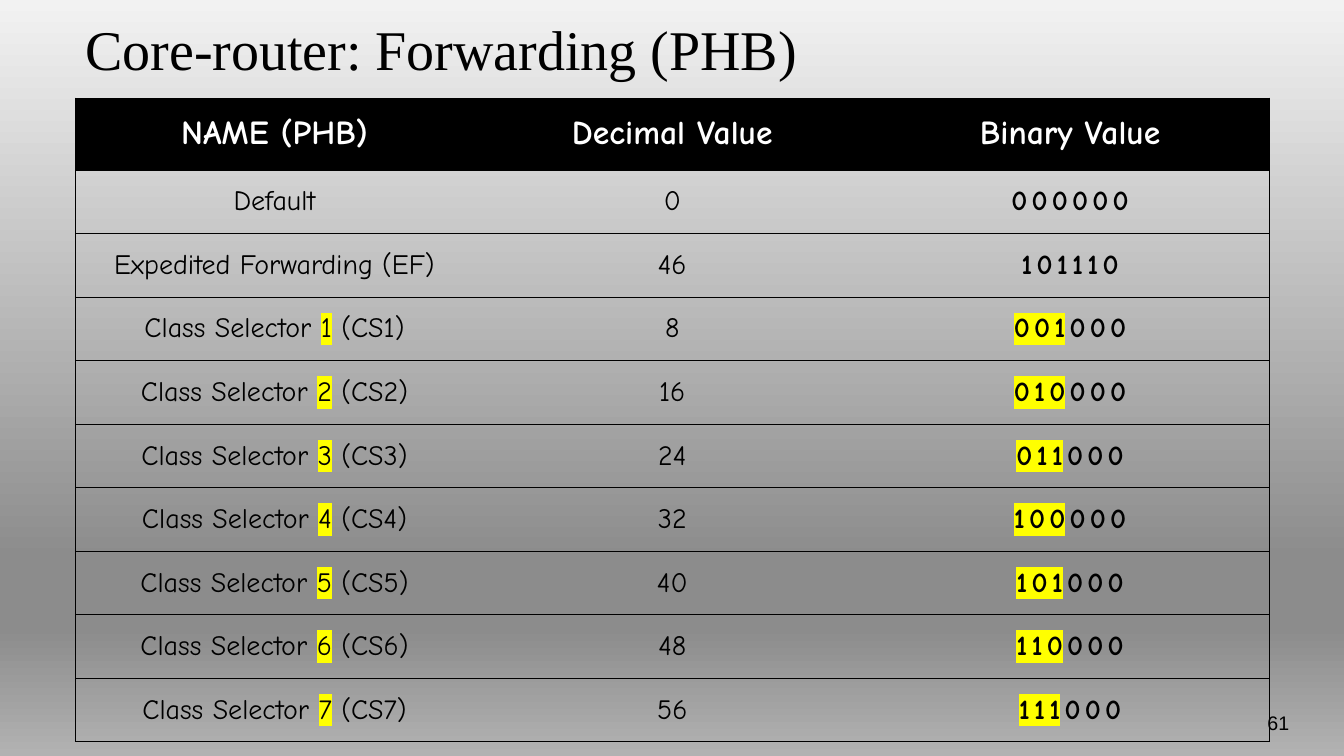
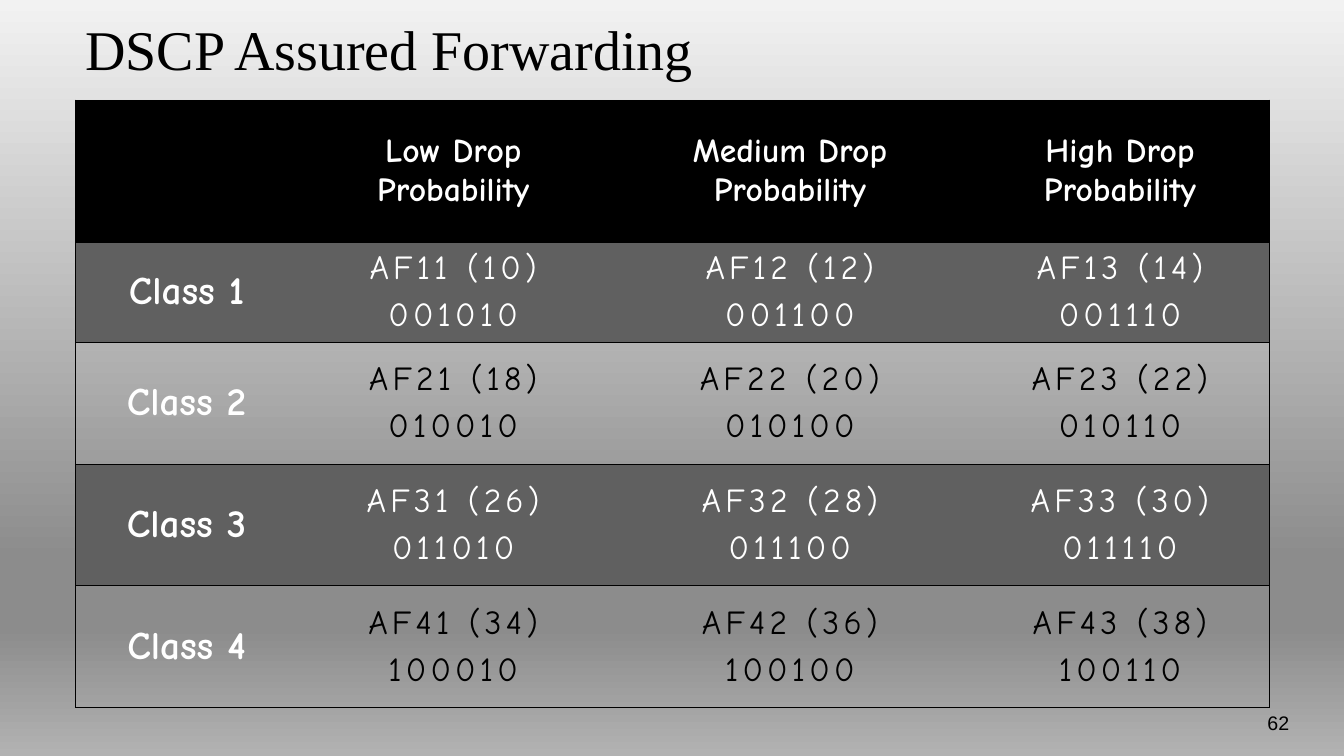
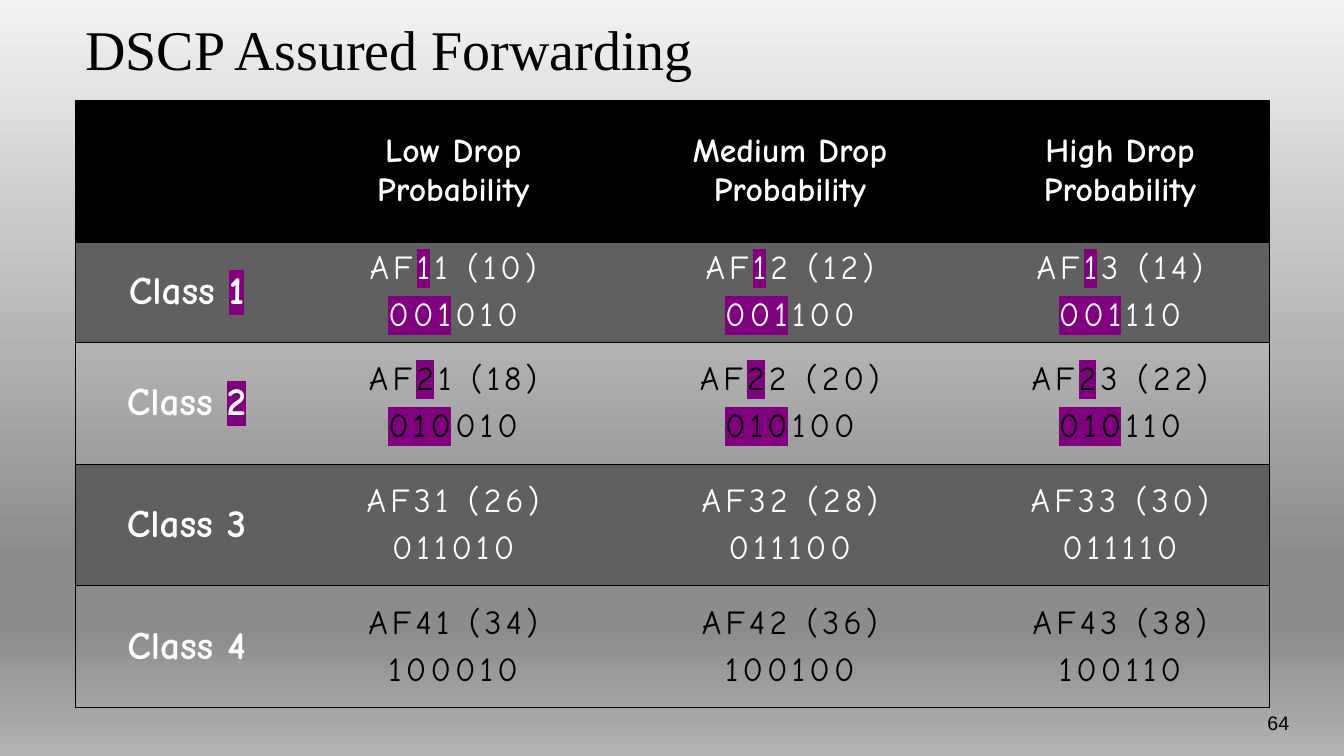
import dataclasses

import lxml.etree
import pptx
import pptx.dml.color
import pptx.enum.text
import pptx.oxml.ns
import pptx.util

Pt = pptx.util.Pt
qn = pptx.oxml.ns.qn
ALIGN = pptx.enum.text.PP_ALIGN
MIDDLE = pptx.enum.text.MSO_ANCHOR.MIDDLE


@dataclasses.dataclass(frozen=True)
class Theme:
    # Colours
    black: str = "000000"
    white: str = "FFFFFF"
    band: str = "606060"
    yellow: str = "FFFF00"
    purple: str = "800080"
    stops: tuple = ((0, "F2F2F2"), (74, "8C8C8C"), (83, "8C8C8C"), (100, "B2B2B2"))
    # Fonts and type sizes
    serif: str = "Times New Roman"
    sans: str = "Arial"
    comic: str = "Comic Neue"
    title: int = 40
    label: int = 28
    head: int = 24
    body: int = 20
    foot: int = 14
    # Lengths
    wide: float = 960
    high: float = 540
    left: float = 54
    span: float = 852.5
    line: float = 0.75
    gap: float = 6
    track: int = 3


T = Theme()


def style(face, size, ink=T.black, bold=False, track=0, mark=None):
    return dict(face=face, size=size, ink=ink, bold=bold, track=track, mark=mark)


HEAD = style(T.comic, T.head, T.white, True)


# ---- Text ----

def add_run(para, text, look, lit=False):
    run = para.add_run()
    run.text = text
    form = dict(name=look["face"], size=Pt(look["size"]), bold=look["bold"])
    for key, value in form.items():
        setattr(run.font, key, value)
    run.font.color.rgb = pptx.dml.color.RGBColor.from_string(look["ink"])
    props = run.font._element
    if look["track"]:
        props.set("spc", str(look["track"] * 100))
    if lit:
        mark = lxml.etree.Element(qn("a:highlight"))
        lxml.etree.SubElement(mark, qn("a:srgbClr"), val=look["mark"])
        props.find(qn("a:solidFill")).addnext(mark)


def add_text(frame, lines, look, align, gap=0):
    """Write one paragraph a line; [brackets] enclose lit text."""
    for num, line in enumerate(lines):
        para = frame.add_paragraph() if num else frame.paragraphs[0]
        for key, value in dict(alignment=align, space_before=Pt(gap)).items():
            setattr(para, key, value)
        for pos, part in enumerate(line.replace("]", "[").split("[")):
            if part:
                add_run(para, part, look, lit=pos % 2 == 1)


def add_box(slide, box, text, look, align, anchor=None):
    frame = slide.shapes.add_textbox(*map(Pt, box)).text_frame
    for key, value in dict(word_wrap=True, vertical_anchor=anchor).items():
        setattr(frame, key, value)
    add_text(frame, [text], look, align)


# ---- Tables ----

def add_edge(cell, side, shown):
    edge = lxml.etree.SubElement(
        cell._tc.get_or_add_tcPr(), qn("a:ln" + side), w=str(int(Pt(T.line))))
    if shown:
        fill = lxml.etree.SubElement(edge, qn("a:solidFill"))
        lxml.etree.SubElement(fill, qn("a:srgbClr"), val=T.black)
    else:
        lxml.etree.SubElement(edge, qn("a:noFill"))


def fill_cell(cell, color):
    if color:
        cell.fill.solid()
        cell.fill.fore_color.rgb = pptx.dml.color.RGBColor.from_string(color)
    else:
        cell.fill.background()


def add_grid(slide, top, cols, rows, cells):
    """Each cell is (lines, style, fill, gap)."""
    table = slide.shapes.add_table(
        len(rows), len(cols), Pt(T.left), Pt(top), Pt(sum(cols)), Pt(sum(rows))).table
    table.horz_banding = False
    for col, width in zip(table.columns, cols):
        col.width = Pt(width)
    for row, height in zip(table.rows, rows):
        row.height = Pt(height)
    for r, line in enumerate(cells):
        for c, (text, look, color, gap) in enumerate(line):
            cell = table.cell(r, c)
            cell.vertical_anchor = MIDDLE
            edges = dict(L=c == 0, R=c == len(cols) - 1, T=True, B=True)
            for side, shown in edges.items():
                add_edge(cell, side, shown)
            fill_cell(cell, color)
            add_text(cell.text_frame, text, look, ALIGN.CENTER, gap)


def head_row(names):
    return [([name], HEAD, T.black, 0) for name in names]


# ---- Slides ----

def set_ground(deck):
    """Give the master its grey gradient, top to bottom."""
    master = deck.slide_master
    fill = master.background.fill
    fill.gradient()
    fill.gradient_angle = 270
    stops = master.element.find(".//" + qn("a:gsLst"))
    for stop in list(stops):
        stops.remove(stop)
    for pos, color in T.stops:
        stop = lxml.etree.SubElement(stops, qn("a:gs"), pos=str(pos * 1000))
        lxml.etree.SubElement(stop, qn("a:srgbClr"), val=color)


def add_slide(deck, title, page):
    slide = deck.slides.add_slide(deck.slide_layouts[6])
    add_box(slide, (857, 504, 71, 36), str(page), style(T.sans, T.foot), ALIGN.RIGHT)
    add_box(slide, (T.left, 0, T.span, 68.5), title,
            style(T.serif, T.title), ALIGN.LEFT, MIDDLE)
    return slide


def add_core(deck, page):
    slide = add_slide(deck, "Core-router: Forwarding (PHB)", page)
    plain = style(T.comic, T.body, mark=T.yellow)
    code = dict(plain, bold=True, track=T.track)
    items = [("Default", 0, "000000"), ("Expedited Forwarding (EF)", 46, "101110")]
    items += [(f"Class Selector [{n}] (CS{n})", 8 * n, f"[{n:03b}]000")
              for n in range(1, 8)]
    cells = [head_row(["NAME (PHB)", "Decimal Value", "Binary Value"])]
    for name, value, bits in items:
        cells.append([([name], plain, None, 0), ([str(value)], plain, None, 0),
                      ([bits], code, None, 0)])
    add_grid(slide, 70, [T.span / 3] * 3, [51.5] + [45.4] * 9, cells)


def add_drop(deck, page, marked=()):
    """Show classes against drop levels, with the marked classes lit."""
    slide = add_slide(deck, "DSCP Assured Forwarding", page)
    levels = ["Low", "Medium", "High"]
    cells = [head_row([""] + [f"{name} Drop Probability" for name in levels])]
    label = style(T.comic, T.label, T.white, True, mark=T.purple)
    for n in range(1, 5):
        odd = n % 2 == 1
        color = T.band if odd else None
        code = style(T.comic, T.head, T.white if odd else T.black,
                     track=T.track, mark=T.purple)
        wrap = "[{}]" if n in marked else "{}"
        digit, bits = wrap.format(n), wrap.format(f"{n:03b}")
        line = [([f"Class {digit}"], label, color, T.gap)]
        for drop in range(1, 4):
            text = [f"AF{digit}{drop} ({8 * n + 2 * drop})", f"{bits}{2 * drop:03b}"]
            line.append((text, code, color, T.gap))
        cells.append(line)
    add_grid(slide, 71.5, [158.5, 222.5, 258.5, 213],
             [101.5, 71.5] + [87] * 3, cells)


def main():
    deck = pptx.Presentation()
    deck.slide_width, deck.slide_height = Pt(T.wide), Pt(T.high)
    set_ground(deck)
    add_core(deck, 61)
    add_drop(deck, 62)
    add_drop(deck, 64, marked=(1, 2))
    deck.save("out.pptx")


if __name__ == "__main__":
    main()
